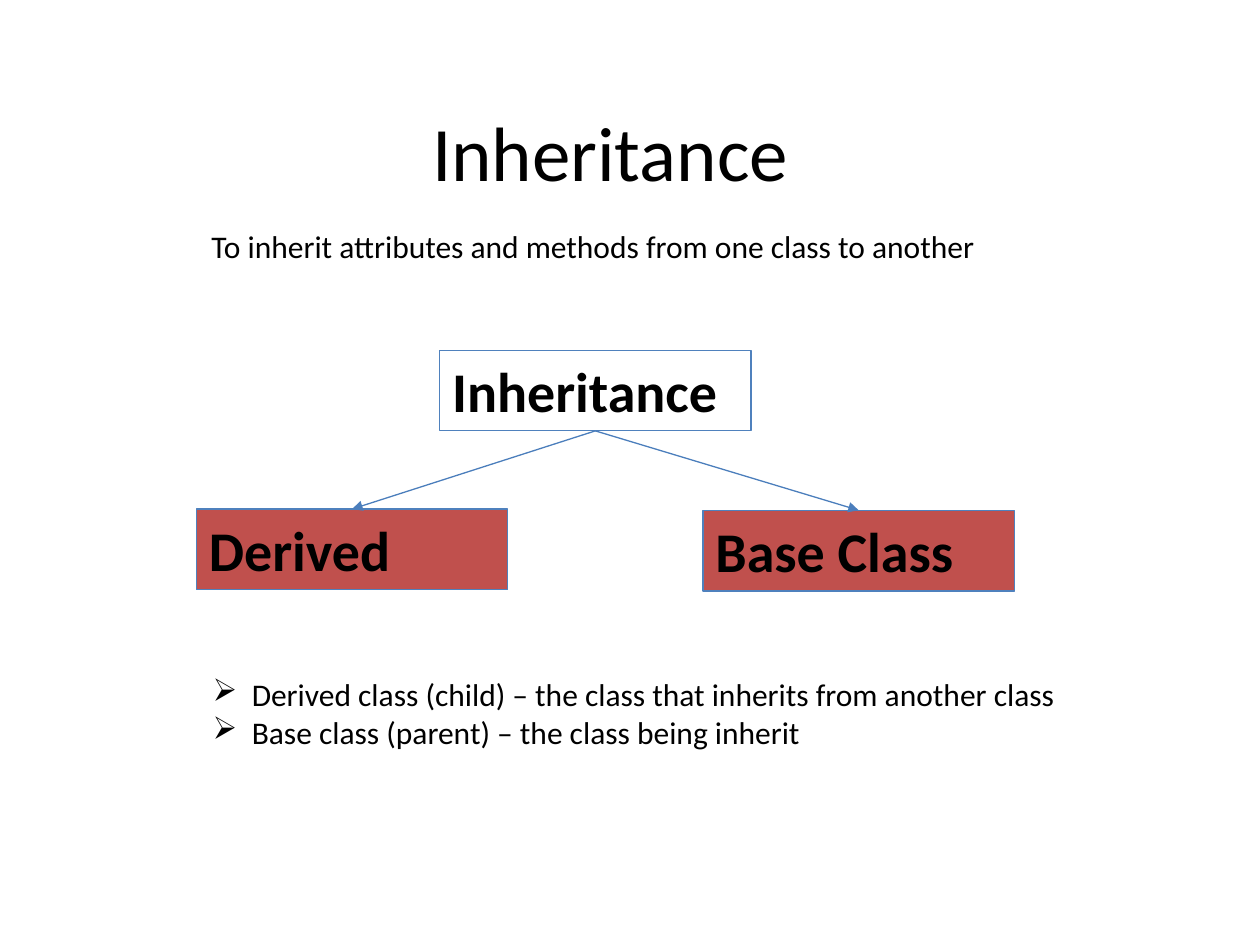
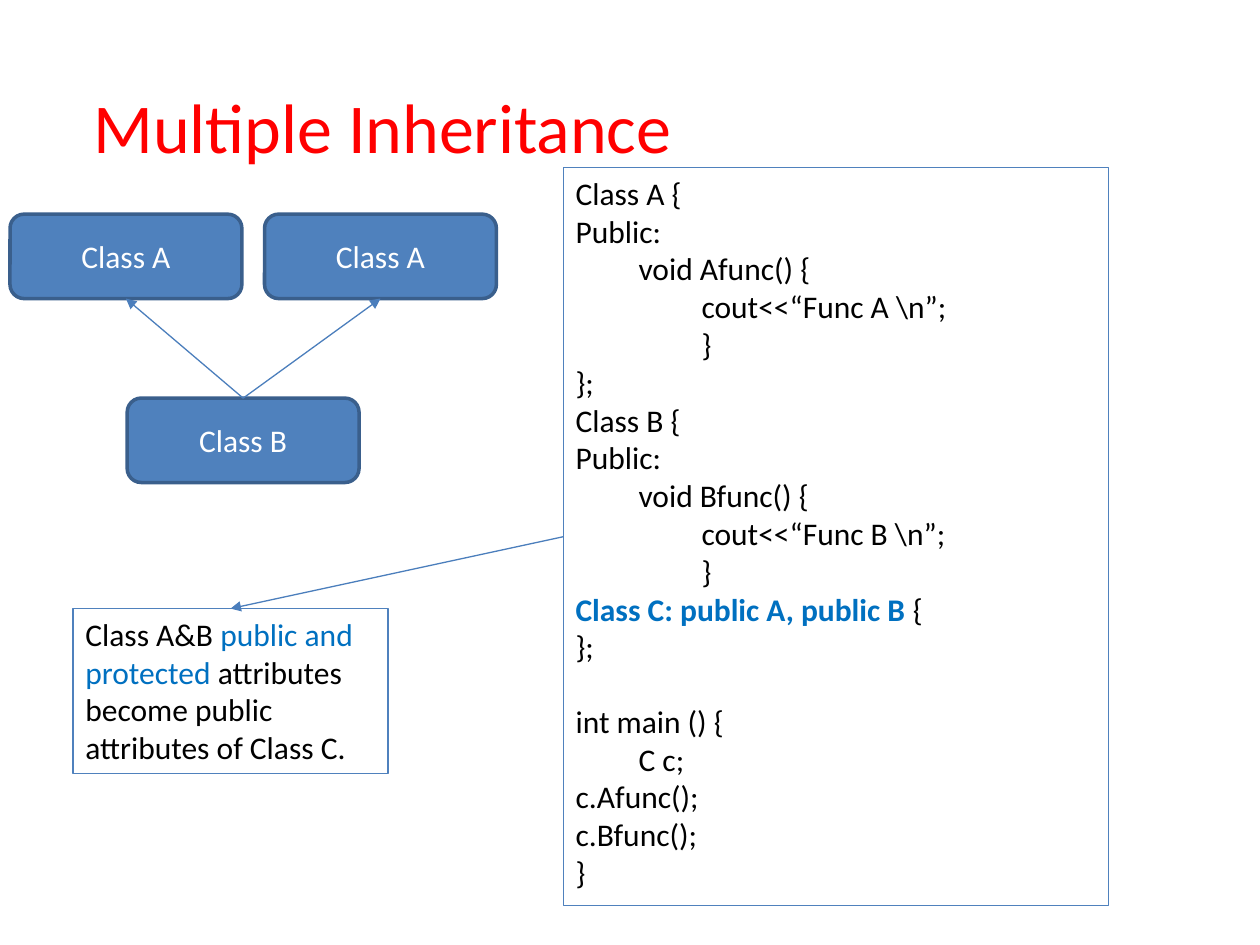
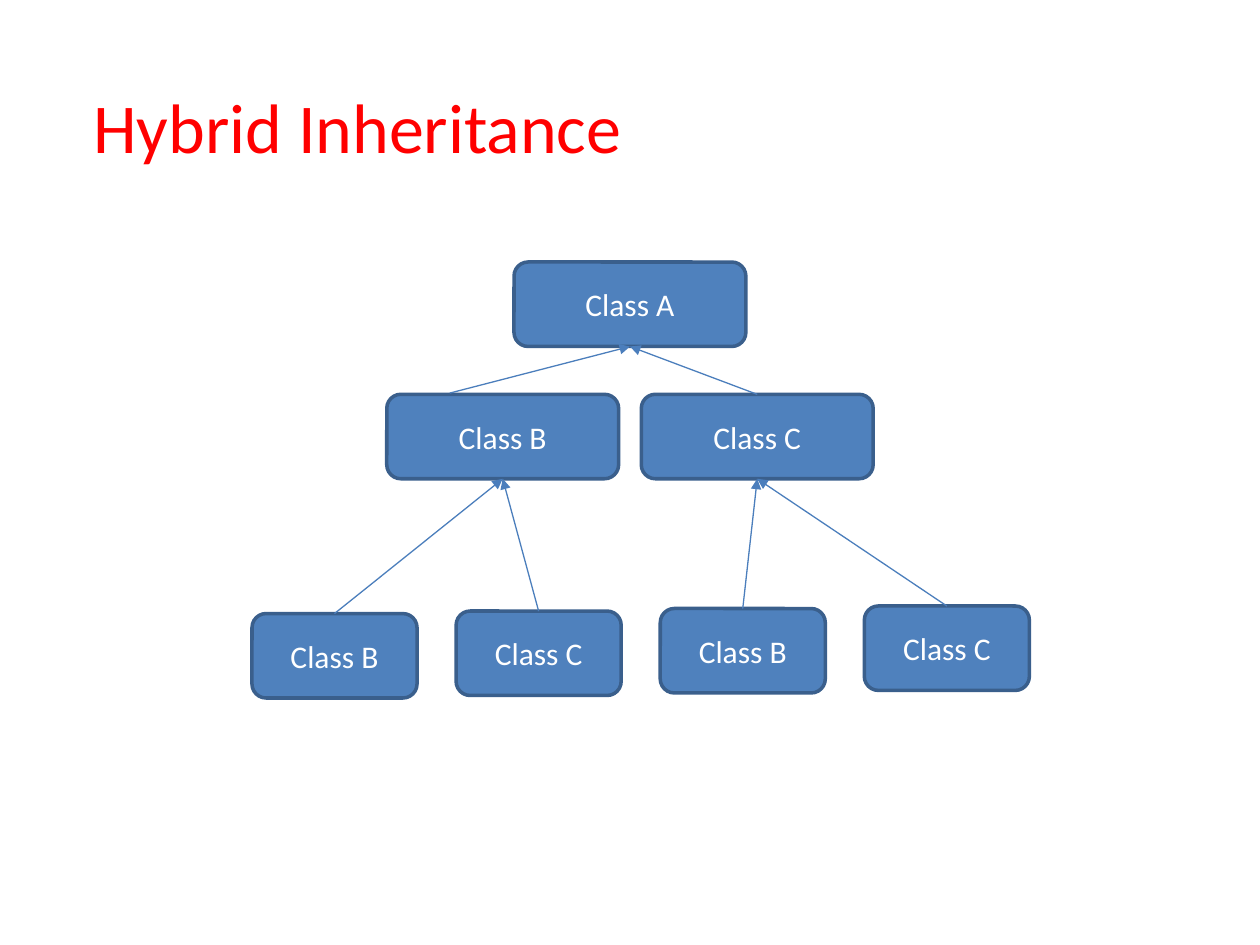
from lxml.etree import SubElement
from pptx import Presentation
from pptx.dml.color import RGBColor
from pptx.enum.shapes import MSO_CONNECTOR, MSO_SHAPE
from pptx.enum.text import MSO_ANCHOR, PP_ALIGN
from pptx.oxml.ns import qn
from pptx.util import Inches, Pt

BLACK, WHITE, RED = "000000", "FFFFFF", "FF0000"
BLUE, EDGE, ARROW, ACCENT, BRICK = "4F81BD", "3A5F8C", "4B7EBC", "0070C0", "C0504D"
FONT = "Calibri"
BODY = 18
TOP, LEFT, BOTTOM = 0, 1, 2

CLASS_W, LEAF_W, CLASS_H = 1.84, 1.31, 0.67
TERM_W, TERM_H = 2.47, 0.64
TITLE_AT = (0.74, 0.66, 8.52, 0.67)

SUBTITLE = "To inherit attributes and methods from one class to another"
TERMS = [
    ("Inheritance", 3.49, 2.78, None),
    ("Derived", 1.56, 4.04, BRICK),
    ("Base Class", 5.58, 4.05, BRICK),
]
DEFINITIONS = [
    "Derived class (child) – the class that inherits from another class",
    "Base class (parent) – the class being inherit",
]

CODE_BEFORE_MAIN = [
    "Class A {",
    "Public:",
    "\tvoid Afunc() {",
    "\t\tcout<<“Func A \\n”;",
    "\t\t}",
    "};",
    "Class B {",
    "Public:",
    "\tvoid Bfunc() {",
    "\t\tcout<<“Func B \\n”;",
    "\t\t}",
    [("Class C: public A, public B ", ACCENT, True), ("{", BLACK, False)],
    "};",
]
CODE_MAIN = ["int main () {", "\tC c;", "c.Afunc();", "c.Bfunc();", "}"]
REMARK = [[
    ("Class A&B ", BLACK, False),
    ("public and protected", ACCENT, False),
    (" attributes become public attributes of Class C.", BLACK, False),
]]

LEAVES = ["Class B", "Class C", "Class B", "Class C"]
LEAF_LEFT, LEAF_TOP, LEAF_STEP, LEAF_RISE = 2.0, 4.87, 1.62, 0.02


def colour(value):
    return RGBColor.from_string(value)


def style(font, size, value, bold=False):
    font.name = FONT
    font.size = Pt(size)
    font.bold = bold
    font.color.rgb = colour(value)


def write(box, lines, size=BODY, value=BLACK, bold=False):
    frame = box.text_frame
    frame.word_wrap = True
    for index, line in enumerate(lines):
        para = frame.paragraphs[0] if index == 0 else frame.add_paragraph()
        para.alignment = PP_ALIGN.LEFT
        spans = [(line, value, bold)] if isinstance(line, str) else line
        for text, span_colour, span_bold in spans:
            span = para.add_run()
            span.text = text
            style(span.font, size, span_colour, span_bold)


def add_text(page, at, lines, size=BODY, value=BLACK, margins=True):
    box = page.shapes.add_textbox(*map(Inches, at))
    if not margins:
        frame = box.text_frame
        frame.margin_left = frame.margin_right = 0
        frame.margin_top = frame.margin_bottom = 0
    write(box, lines, size, value)
    return box


def add_title(page, text):
    add_text(page, TITLE_AT, [text], 40, RED, margins=False)


def add_box(page, kind, at, fill, line, line_width):
    box = page.shapes.add_shape(kind, *map(Inches, at))
    box.shadow.inherit = False
    if fill:
        box.fill.solid()
        box.fill.fore_color.rgb = colour(fill)
    else:
        box.fill.background()
    box.line.color.rgb = colour(line)
    box.line.width = Pt(line_width)
    return box


def add_panel(page, at, lines, fill=None, size=BODY, bold=False):
    box = add_box(page, MSO_SHAPE.RECTANGLE, at, fill, BLUE, 0.75)
    box.text_frame.vertical_anchor = MSO_ANCHOR.TOP
    write(box, lines, size, bold=bold)
    return box


def add_class(page, text, left, top, width=CLASS_W):
    at = (left, top, width, CLASS_H)
    box = add_box(page, MSO_SHAPE.ROUNDED_RECTANGLE, at, BLUE, EDGE, 2)
    write(box, [text], value=WHITE)
    box.text_frame.vertical_anchor = MSO_ANCHOR.MIDDLE
    box.text_frame.paragraphs[0].alignment = PP_ALIGN.CENTER
    return box


def add_arrow(page, source, source_side, target, target_side, start=None):
    x, y = map(Inches, start or (0, 0))
    arrow = page.shapes.add_connector(MSO_CONNECTOR.STRAIGHT, x, y, x, y)
    if not start:
        arrow.begin_connect(source, source_side)
    arrow.end_connect(target, target_side)
    arrow.line.color.rgb = colour(ARROW)
    arrow.line.width = Pt(0.75)
    SubElement(arrow.line._get_or_add_ln(), qn("a:tailEnd"), type="triangle")
    SubElement(arrow._element.spPr, qn("a:effectLst"))


def add_bullets(box):
    indent = Inches(0.31)
    for para in box.text_frame.paragraphs:
        properties = para._p.get_or_add_pPr()
        properties.set("marL", str(indent))
        properties.set("indent", str(-indent))
        SubElement(properties, qn("a:buChar"), char="➢")


def build_overview(page):
    add_text(page, (3.43, 0.83, 3.83, 0.74), ["Inheritance"], 44, margins=False)
    add_text(page, (1.58, 1.75, 6.4, 0.4), [SUBTITLE])
    root, *children = [
        add_panel(page, (left, top, TERM_W, TERM_H), [text], fill, 32, True)
        for text, left, top, fill in TERMS
    ]
    for child in children:
        add_arrow(page, root, BOTTOM, child, TOP)
    add_bullets(add_text(page, (1.59, 5.31, 6.97, 0.71), DEFINITIONS))


def build_multiple(page):
    add_title(page, "Multiple Inheritance")
    parents = [add_class(page, "Class A", left, 1.7) for left in (0.08, 2.1)]
    child = add_class(page, "Class B", 1.01, 3.16)
    for parent in parents:
        add_arrow(page, child, TOP, parent, BOTTOM)
    code = add_panel(page, (4.47, 1.33, 4.33, 5.86), CODE_BEFORE_MAIN + CODE_MAIN)
    code.text_frame.paragraphs[len(CODE_BEFORE_MAIN)].space_before = Pt(21)
    remark = add_panel(page, (0.58, 4.83, 2.5, 1.31), REMARK)
    add_arrow(page, code, LEFT, remark, TOP)


def build_hybrid(page):
    add_title(page, "Hybrid Inheritance")
    root = add_class(page, "Class A", 4.08, 2.08)
    middle = [
        add_class(page, "Class B", 3.07, 3.13),
        add_class(page, "Class C", 5.09, 3.13),
    ]
    add_arrow(page, middle[0], TOP, root, BOTTOM, start=(3.57, 3.12))
    add_arrow(page, middle[1], TOP, root, BOTTOM)
    for index, text in enumerate(LEAVES):
        left = LEAF_LEFT + index * LEAF_STEP
        top = LEAF_TOP - index * LEAF_RISE
        leaf = add_class(page, text, left, top, LEAF_W)
        add_arrow(page, leaf, TOP, middle[index // 2], BOTTOM)


def main():
    deck = Presentation()
    deck.slide_width, deck.slide_height = Inches(10), Inches(7.5)
    for build in (build_overview, build_multiple, build_hybrid):
        build(deck.slides.add_slide(deck.slide_layouts[6]))
    deck.save("out.pptx")


if __name__ == "__main__":
    main()
